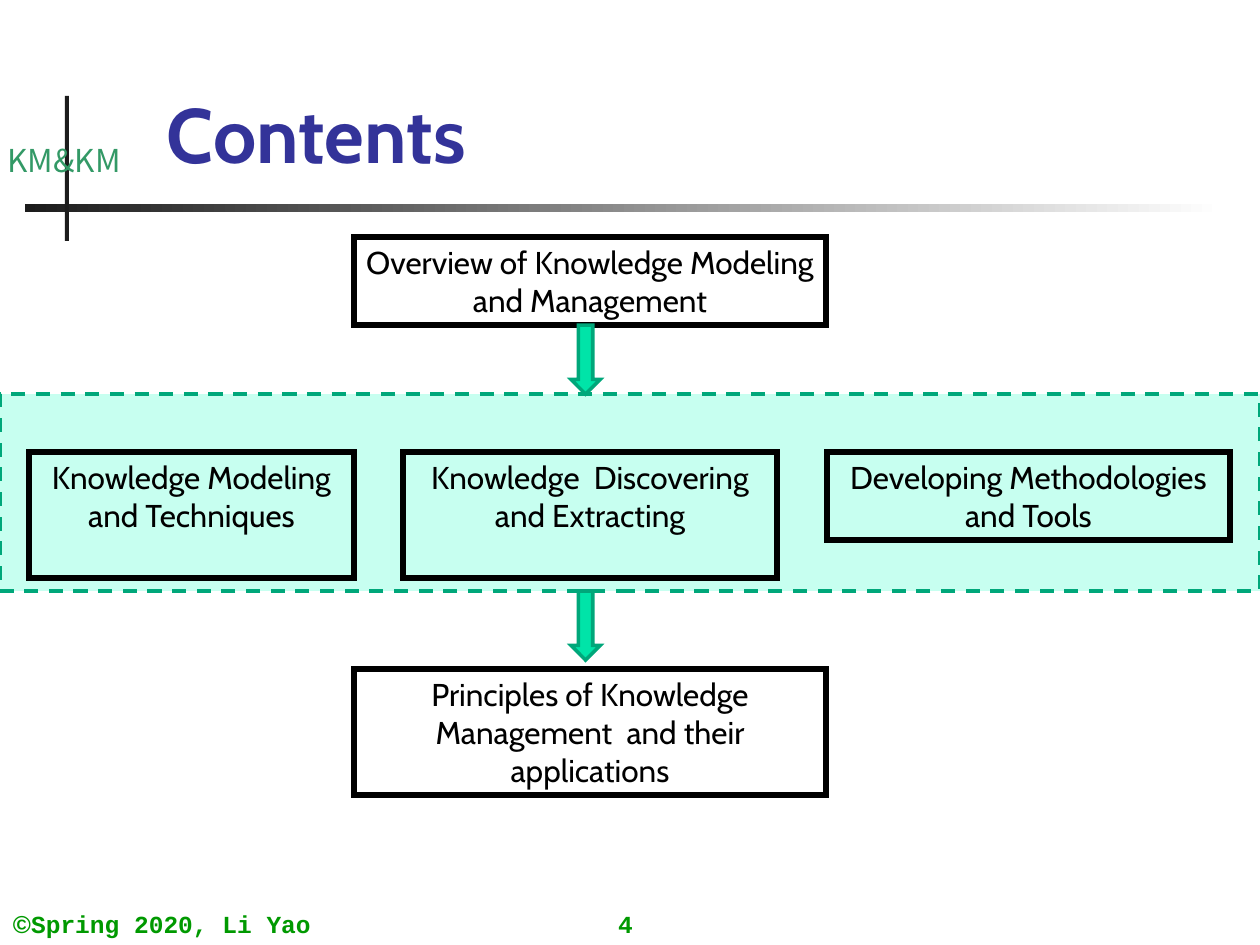
from lxml import etree
from pptx import Presentation, util as u
from pptx.dml.color import RGBColor
from pptx.enum import dml, shapes, text
from pptx.oxml.ns import qn

SCALE = 914400 / 126
BLACK, GREEN, TEAL = "000000", "009900", "00A77A"


def px(length):
    return u.Emu(round(length * SCALE))


def color(value):
    return RGBColor.from_string(value)


def add_shape(slide, box, kind="RECTANGLE", fill=None, line=None, weight=2):
    shape = slide.shapes.add_shape(getattr(shapes.MSO_SHAPE, kind), *map(px, box))
    shape.shadow.inherit = False
    if fill:
        shape.fill.solid()
        shape.fill.fore_color.rgb = color(fill)
    else:
        shape.fill.background()
    if line:
        shape.line.color.rgb = color(line)
        shape.line.width = u.Pt(weight)
        outline = shape.line._get_or_add_ln()
        etree.SubElement(outline, qn("a:miter"), lim="800000")
    else:
        shape.line.fill.background()
    return shape


def write(shape, runs, size, ink, bold=False, align="LEFT", anchor="TOP",
          wrap=True, side_margin=13):
    """Fill a shape with one paragraph made of (words, font name) runs."""
    frame = shape.text_frame
    frame.word_wrap = wrap
    frame.margin_left = frame.margin_right = px(side_margin)
    frame.vertical_anchor = getattr(text.MSO_ANCHOR, anchor)
    paragraph = frame.paragraphs[0]
    paragraph.alignment = getattr(text.PP_ALIGN, align)
    font = paragraph.font
    font.size, font.bold = u.Pt(size), bold
    font.color.rgb = color(ink)
    for words, name in runs:
        run = paragraph.add_run()
        run.text = words
        run.font.name = name


def add_text(slide, box, runs, size, ink, **style):
    write(slide.shapes.add_textbox(*map(px, box)), runs, size, ink, **style)


def add_header(slide, box):
    left, top, width, height = box
    rule = add_shape(slide, (left + 25, top + 108, 1198, 8), fill="1C1C1C")
    rule.fill.gradient()
    rule.fill.gradient_angle = 0
    for stop, shade in zip(rule.fill.gradient_stops, ("1C1C1C", "FFFFFF")):
        stop.color.rgb = color(shade)
    add_shape(slide, (left + 65, top, 4, height), fill="1C1C1C")
    add_text(slide, (left, top + 39, 128, 69), [("KM&KM", "Noto Sans CJK SC")],
             18, "339966", align="CENTER", wrap=False, side_margin=0)
    add_text(slide, (left + 154, top - 66, 1022, 155), [("Contents", "Cabin")],
             44, "333399", bold=True, anchor="BOTTOM")


def add_topic(slide, box, words):
    shape = add_shape(slide, box, line=BLACK, weight=3)
    write(shape, [(words, "Cabin")], 18, BLACK, align="CENTER", side_margin=9)


def add_flow(slide, box):
    """Overview, then a dashed band of three topics, then principles."""
    left, top, width, height = box
    band_top, band_height = top + 157, 197
    band = add_shape(slide, (left, band_top, width, band_height), fill="C7FFF0", line=TEAL)
    band.line.dash_style = dml.MSO_LINE.DASH

    add_topic(slide, (left + 354, top, 472, 88), "Overview of Knowledge Modeling and Management")
    for offset, topic_width, topic_height, words in (
        (29, 325, 126, "Knowledge Modeling and Techniques"),
        (403, 374, 126, "Knowledge  Discovering and Extracting"),
        (827, 403, 88, "Developing Methodologies and Tools"),
    ):
        add_topic(slide, (left + offset, band_top + 58, topic_width, topic_height), words)
    add_topic(slide, (left + 354, top + height - 126, 472, 126),
              "Principles of Knowledge Management  and their applications")

    for arrow_top in (top + 88, band_top + band_height):
        add_shape(slide, (left + 571, arrow_top, 29, 69), "DOWN_ARROW", "00E4A8", TEAL)


def add_footer(slide, box):
    left, top, width, height = box
    style = dict(size=14, ink=GREEN, bold=True, anchor="BOTTOM")
    add_text(slide, (left + 581, top + 4, 89, height - 4), [("4", "Courier New")],
             align="CENTER", **style)
    add_text(slide, (left, top, 399, height),
             [("©", "Arial"), ("Spring 2020, Li Yao", "Courier New")], **style)


def main():
    presentation = Presentation()
    presentation.slide_width, presentation.slide_height = px(1260), px(945)
    slide = presentation.slides.add_slide(presentation.slide_layouts[6])
    add_header(slide, (0, 96, 1260, 145))
    add_flow(slide, (0, 237, 1260, 558))
    add_footer(slide, (0, 882, 1260, 63))
    presentation.save("out.pptx")


if __name__ == "__main__":
    main()
